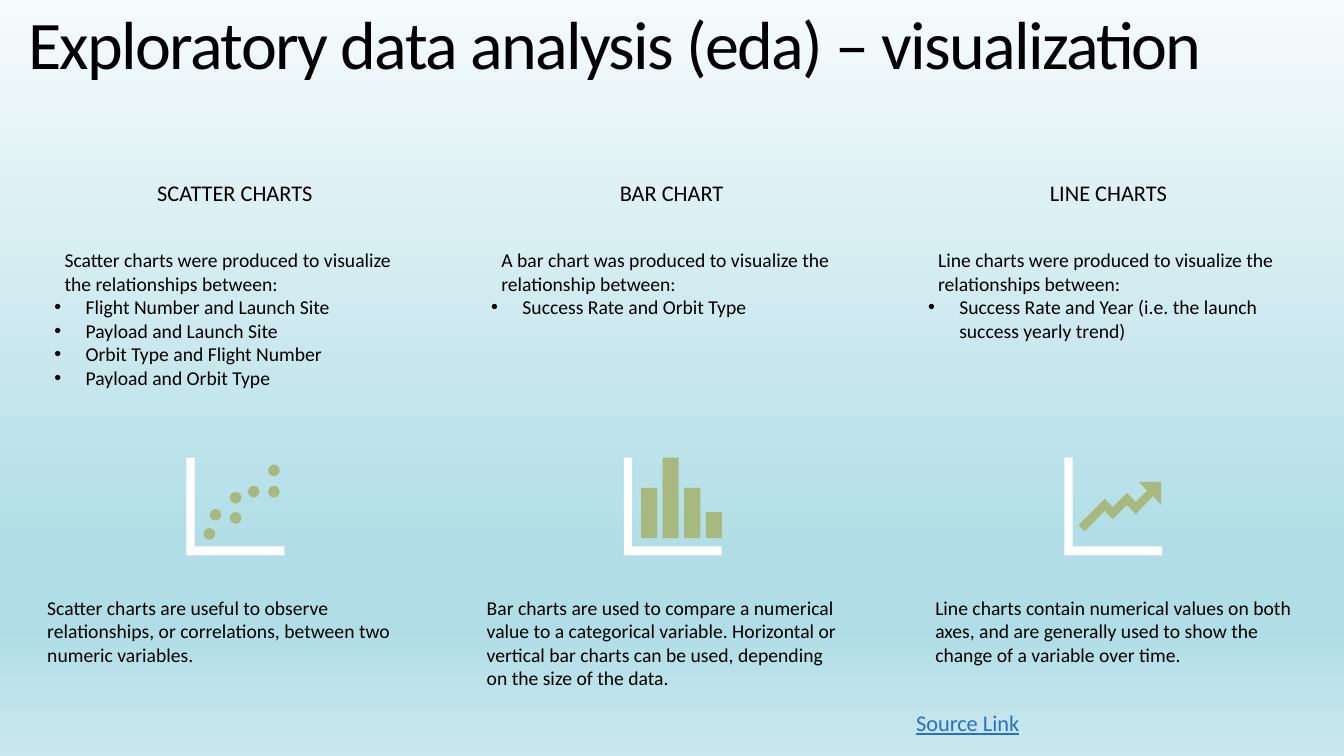
"""Build a slide that explains three kinds of charts used in data exploration."""
from copy import deepcopy

from lxml import etree
from pptx import Presentation
from pptx import util as u
from pptx.dml.color import RGBColor
from pptx.enum import shapes, text
from pptx.oxml import ns

HUES = {"ink": "000000", "axis": "FFFFFF", "mark": "A8B97F", "link": "2370CD"}
SKY = {0: "F6FBFC", 74: "B0DDE6", 83: "B0DDE6", 100: "CBE8EE"}
COLS, ROWS = 40, 30
LEFT, STEP, WIDE = 1.32, 13, 11.34
ICON = 18.16
AXIS = [(8, 0), (0, 0), (0, 97), (97, 97), (97, 88), (8, 88)]
DOTS = [(17, 70), (23, 51), (43, 54), (43, 34), (61, 28), (81, 28), (81, 7)]
BARS = [50, 80, 50, 26]
TREND = [(74, 24), (82, 33), (71, 44), (62, 35), (48, 49), (40, 41), (14, 67),
         (20, 73), (40, 53), (48, 61), (62, 47), (71, 56), (88, 38), (96, 47), (96, 24)]

TOPICS = [
    {"head": "SCATTER CHARTS",
     "lead": "Scatter charts were produced to visualize the relationships between:",
     "list": ["Flight Number and Launch Site", "Payload and Launch Site",
              "Orbit Type and Flight Number", "Payload and Orbit Type"],
     "note": "Scatter charts are useful to observe relationships, or correlations, "
             "between two numeric variables.",
     "icon": 5.55, "left": 1.11, "rows": 3.24},
    {"head": "BAR CHART",
     "lead": "A bar chart was produced to visualize the relationship between:",
     "list": ["Success Rate and Orbit Type"],
     "note": "Bar charts are used to compare a numerical value to a categorical variable. "
             "Horizontal or vertical bar charts can be used, depending on the size of the data.",
     "icon": 18.57, "left": 14.19, "rows": 4.16},
    {"head": "LINE CHARTS",
     "lead": "Line charts were produced to visualize the relationships between:",
     "list": ["Success Rate and Year (i.e. the launch success yearly trend)"],
     "note": "Line charts contain numerical values on both axes, and are generally used "
             "to show the change of a variable over time.",
     "icon": 31.68, "left": 27.54, "rows": 3.24},
]


def write(frame, line, size=14, hue="ink", align="LEFT", mark=None, left=0, hang=0,
          space=1.0, track=None, under=False):
    para = frame.add_paragraph() if frame.text else frame.paragraphs[0]
    props = para._p.get_or_add_pPr()
    props.set("marL", str(u.Inches(left)))
    props.set("indent", str(-u.Inches(hang)))
    if mark:
        etree.SubElement(props, ns.qn("a:buChar")).set("char", mark)
    else:
        etree.SubElement(props, ns.qn("a:buNone"))
    para.alignment = text.PP_ALIGN[align]
    para.space_before = para.space_after = u.Pt(0)
    para.line_spacing = space
    run = para.add_run()
    run.text = line
    font = run.font
    font.name, font.size, font.bold = "Calibri", u.Pt(size), False
    font.underline = under
    font.color.rgb = RGBColor.from_string(HUES[hue])
    if track:
        run._r.get_or_add_rPr().set("spc", str(track))


class Deck:
    def __init__(self):
        self.show = Presentation()
        self.show.slide_width = u.Inches(13.33)
        self.show.slide_height = u.Inches(7.5)
        plan = self.show.slide_layouts[4]
        for holder in list(plan.placeholders)[1:3]:
            twin = deepcopy(holder._element)
            twin.ph.set("idx", str(holder.placeholder_format.idx + 12))
            plan.shapes._spTree.append(twin)
        self.page = self.show.slides.add_slide(plan)
        self.slots = list(self.page.placeholders)

    def box(self, col, row, wide, high):
        across = self.show.slide_width / COLS
        down = self.show.slide_height / ROWS
        return [round(n) for n in (col * across, row * down, wide * across, high * down)]

    def cell(self, col, x, y, wide, high):
        return self.box(col + x * 0.03, ICON + y * 0.04, wide * 0.03, high * 0.04)

    def sky(self):
        fill = self.page.background.fill
        fill.gradient()
        fill.gradient_angle = 270
        stops = next(self.page._element.iter(ns.qn("a:gsLst")))
        stops[:] = []
        for share, hue in SKY.items():
            stop = etree.SubElement(stops, ns.qn("a:gs"))
            stop.set("pos", str(share * 1000))
            etree.SubElement(stop, ns.qn("a:srgbClr")).set("val", hue)

    def slot(self, index, area, anchor="TOP", inset=True):
        item = self.slots[index]
        item.left, item.top, item.width, item.height = self.box(*area)
        return self.frame(item, anchor, inset)

    def label(self, area, wrap=True):
        item = self.page.shapes.add_textbox(*self.box(*area))
        return self.frame(item, wrap=wrap)

    def frame(self, item, anchor="TOP", inset=True, wrap=True):
        frame = item.text_frame
        frame.word_wrap = wrap
        frame.auto_size = text.MSO_AUTO_SIZE.NONE
        frame.vertical_anchor = text.MSO_ANCHOR[anchor]
        frame.margin_left = frame.margin_right = u.Inches(0.1 if inset else 0)
        frame.margin_top = frame.margin_bottom = u.Inches(0.05 if inset else 0)
        return frame

    def paint(self, item, hue):
        item.shadow.inherit = False
        item.fill.solid()
        item.fill.fore_color.rgb = RGBColor.from_string(HUES[hue])
        item.line.fill.background()

    def shape(self, kind, area, hue="mark"):
        item = self.page.shapes.add_shape(shapes.MSO_SHAPE[kind], *area)
        self.paint(item, hue)

    def trace(self, col, points, hue):
        dots = [self.cell(col, x, y, 0, 0)[:2] for x, y in points]
        pen = self.page.shapes.build_freeform(*dots[0])
        pen.add_line_segments(dots[1:], close=True)
        self.paint(pen.convert_to_shape(), hue)

    def scatter(self, col):
        for x, y in DOTS:
            self.shape("OVAL", self.cell(col, x, y, 11.5, 11.5))

    def bars(self, col):
        for i, high in enumerate(BARS):
            self.shape("RECTANGLE", self.cell(col, 17 + 21.4 * i, 80 - high, 16, high))

    def trend(self, col):
        self.trace(col, TREND, "mark")


def main():
    deck = Deck()
    deck.sky()
    title = deck.slot(0, (0.54, 0.32, 37.08, 3.24), "MIDDLE")
    write(title, "Exploratory data analysis (eda) – visualization", size=48.6,
          space=0.85, track=-120)
    for i, (topic, draw) in enumerate(zip(TOPICS, (deck.scatter, deck.bars, deck.trend))):
        col = LEFT + STEP * i
        head = deck.slot(2 * i + 1, (col, 5.8, WIDE, 3.68), "MIDDLE", inset=False)
        write(head, topic["head"], size=16, align="CENTER", left=0.1, hang=0.1)
        body = deck.slot(2 * i + 2, (col, 9.64, WIDE, 17.84))
        write(body, topic["lead"], left=0.1)
        for line in topic["list"]:
            write(body, line, mark="•", left=0.31, hang=0.31)
        deck.trace(topic["icon"], AXIS, "axis")
        draw(topic["icon"])
        write(deck.label((topic["left"], 23.44, WIDE, topic["rows"])), topic["note"])
    link = deck.label((26.97, 27.96, 3.75, 1.48), wrap=False)
    write(link, "Source Link", size=16, hue="link", under=True)
    deck.show.save("out.pptx")


if __name__ == "__main__":
    main()
